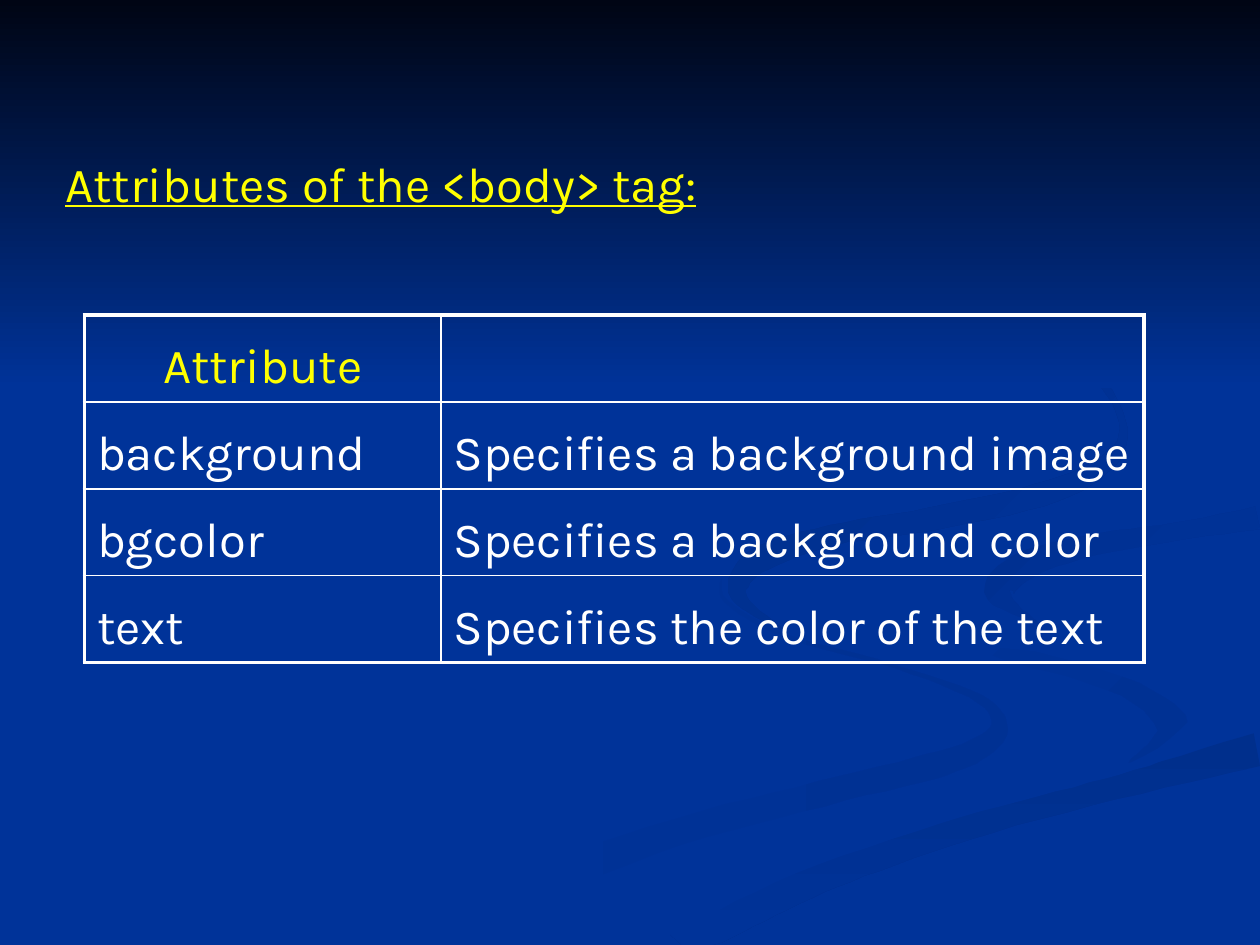
from dataclasses import dataclass
from math import hypot

from lxml import etree
from pptx import Presentation
from pptx.dml.color import RGBColor
from pptx.enum.shapes import MSO_SHAPE
from pptx.enum.text import MSO_ANCHOR, PP_ALIGN
from pptx.oxml.ns import qn
from pptx.util import Pt

RECTANGLE = MSO_SHAPE.RECTANGLE
TOP = MSO_ANCHOR.TOP
LEFT, CENTER = PP_ALIGN.LEFT, PP_ALIGN.CENTER
PX = 9144
SLIDE_WIDTH, SLIDE_HEIGHT = 1000, 750


@dataclass(frozen=True)
class Theme:
    font: str = "Karla"
    text_size: int = 28
    blue: str = "003399"
    soft_shade: str = "003193"
    middle_shade: str = "003091"
    deep_shade: str = "002F8C"
    night: str = "000514"
    yellow: str = "FFFF00"
    white: str = "FFFFFF"
    outer_line: float = 2.25
    inner_line: float = 1
    line_spacing: float = 1.3


@dataclass(frozen=True)
class Ribbon:
    colors: tuple
    angle: int
    knots: tuple


THEME = Theme()

HEADING = "Attributes of the <body> tag:"
ROWS = [
    ("Attribute", ""),
    ("background", "Specifies a background image"),
    ("bgcolor", "Specifies a background color"),
    ("text", "Specifies the color of the text"),
]
COLUMN_WIDTHS = (283, 558)
ROW_HEIGHT = 69
CELL_BOTTOM = 3

CURVE_STEPS = 6
LOWER_LEFT_RIBBON = Ribbon((THEME.blue, THEME.soft_shade), 0, (
    (573, 459, 1), (576, 477, 3), (622, 504, 3), (710, 529, 3), (778, 555, 6), (793, 578, 14),
    (775, 595, 18), (740, 608, 20), (652, 630, 20), (539, 660, 22), (417, 705, 28), (325, 752, 30),
))
INNER_RIBBON = Ribbon((THEME.blue, THEME.soft_shade), 45, (
    (724, 464, 1), (730, 482, 3), (755, 501, 7), (800, 518, 12), (850, 531, 13),
    (900, 549, 15), (930, 574, 24), (922, 590, 17), (896, 605, 1),
))
BOTTOM_RIBBON = Ribbon((THEME.deep_shade, THEME.blue), 90, (
    (998, 595, 27), (903, 620, 20), (785, 651, 20), (695, 681, 21),
    (630, 706, 24), (575, 732, 27), (535, 752, 28),
))
WIDE_RIBBON = Ribbon((THEME.blue, THEME.blue), 0, (
    (999, 394, 15), (920, 408, 15), (830, 423, 15), (785, 435, 30), (753, 464, 56), (775, 489, 45),
    (825, 507, 22), (896, 527, 20), (960, 550, 26), (968, 567, 30), (910, 604, 8), (837, 624, 9),
    (743, 649, 11), (630, 687, 13), (540, 729, 16), (490, 752, 18),
))
RIGHT_RIBBON = Ribbon((THEME.middle_shade, THEME.blue), 45, (
    (998, 411, 18), (933, 422, 14), (865, 433, 17), (815, 448, 22),
    (793, 467, 24), (802, 481, 10), (826, 496, 1),
))
UPPER_RIBBON = Ribbon((THEME.deep_shade, THEME.blue), 45, (
    (762, 233, 1), (826, 264, 4), (870, 298, 5), (892, 340, 6), (875, 370, 14), (825, 393, 18),
    (739, 412, 18), (660, 425, 16), (605, 443, 20), (586, 463, 16), (592, 480, 9), (622, 500, 1),
))
RIBBONS = [
    LOWER_LEFT_RIBBON, INNER_RIBBON, BOTTOM_RIBBON, WIDE_RIBBON, RIGHT_RIBBON, UPPER_RIBBON,
]


def px(*lengths):
    return [length * PX for length in lengths]


def spline(before, start, end, after, t):
    slope_in, slope_out = (end - before) / 2, (after - start) / 2
    square = 3 * (end - start) - 2 * slope_in - slope_out
    cube = slope_in + slope_out - 2 * (end - start)
    value = start + t * (slope_in + t * (square + t * cube))
    slope = slope_in + t * (2 * square + t * 3 * cube)
    return value, slope


def sample_curve(knots):
    padded = (knots[0], *knots, knots[-1])
    for index in range(len(knots) - 1):
        last_segment = index == len(knots) - 2
        for step in range(CURVE_STEPS + last_segment):
            t = step / CURVE_STEPS
            yield [spline(*values, t) for values in zip(*padded[index:index + 4])]


def ribbon_outline(knots):
    left_edge, right_edge = [], []
    for (x, dx), (y, dy), (width, _) in sample_curve(knots):
        reach = width / 2 / hypot(dx, dy)
        for edge, side in ((left_edge, reach), (right_edge, -reach)):
            point = (min(x - side * dy, SLIDE_WIDTH), min(y + side * dx, SLIDE_HEIGHT))
            edge.append(tuple(round(length) for length in point))
    return left_edge + right_edge[::-1]


def paint(shape, colors, angle):
    shape.shadow.inherit = False
    shape.line.fill.background()
    fill = shape.fill
    if colors[0] == colors[1]:
        fill.solid()
        fill.fore_color.rgb = RGBColor.from_string(colors[0])
        return
    fill.gradient()
    fill.gradient_angle = -angle % 360
    for stop, color, position in zip(fill.gradient_stops, colors, (0, 1)):
        stop.color.rgb = RGBColor.from_string(color)
        stop.position = position


def add_ribbon(page, ribbon):
    start, *rest = ribbon_outline(ribbon.knots)
    builder = page.shapes.build_freeform(*start, scale=PX)
    builder.add_line_segments(rest, close=True)
    paint(builder.convert_to_shape(), ribbon.colors, ribbon.angle)


def add_sky(page):
    sky = page.shapes.add_shape(RECTANGLE, *px(0, 0, SLIDE_WIDTH, 308))
    paint(sky, (THEME.night, THEME.blue), 90)


def write(frame, text, color, align=LEFT, spacing=1.0, underline=False):
    para = frame.paragraphs[0]
    para.alignment = align
    para.line_spacing = spacing
    span = para.add_run() if text else para
    if text:
        span.text = text
    formats = {"name": THEME.font, "size": Pt(THEME.text_size), "underline": underline}
    for name, value in formats.items():
        setattr(span.font, name, value)
    span.font.color.rgb = RGBColor.from_string(color)


def add_heading(page):
    box = page.shapes.add_textbox(*px(42, 117, 558, 83))
    box.text_frame.word_wrap = True
    write(box.text_frame, HEADING, THEME.yellow, underline=True)


def set_borders(cell, outer_sides):
    properties = cell._tc.get_or_add_tcPr()
    for index, (side, is_outer) in enumerate(outer_sides.items()):
        width = THEME.outer_line if is_outer else THEME.inner_line
        line = etree.Element(qn(f"a:ln{side}"), w=str(int(Pt(width))))
        fill = etree.SubElement(line, qn("a:solidFill"))
        etree.SubElement(fill, qn("a:srgbClr"), val=THEME.white)
        properties.insert(index, line)


def add_attribute_table(page):
    last_row, last_column = len(ROWS) - 1, len(COLUMN_WIDTHS) - 1
    size = (sum(COLUMN_WIDTHS), ROW_HEIGHT * len(ROWS))
    table = page.shapes.add_table(len(ROWS), len(COLUMN_WIDTHS), *px(67, 250, *size)).table
    table.first_row = table.horz_banding = False
    for column, width in zip(table.columns, px(*COLUMN_WIDTHS)):
        column.width = width
    for r, texts in enumerate(ROWS):
        table.rows[r].height = ROW_HEIGHT * PX
        color, align = (THEME.white, LEFT) if r else (THEME.yellow, CENTER)
        for c, text in enumerate(texts):
            cell = table.cell(r, c)
            cell.fill.background()
            cell.vertical_anchor = TOP
            cell.margin_bottom = CELL_BOTTOM * PX
            write(cell.text_frame, text, color, align, THEME.line_spacing)
            set_borders(cell, {"L": c == 0, "R": c == last_column, "T": r == 0, "B": r == last_row})


def main():
    deck = Presentation()
    deck.slide_width, deck.slide_height = px(SLIDE_WIDTH, SLIDE_HEIGHT)
    page = deck.slides.add_slide(deck.slide_layouts[6])
    page.background.fill.solid()
    page.background.fill.fore_color.rgb = RGBColor.from_string(THEME.blue)
    for ribbon in RIBBONS:
        add_ribbon(page, ribbon)
    add_sky(page)
    add_heading(page)
    add_attribute_table(page)
    deck.save("out.pptx")


if __name__ == "__main__":
    main()
